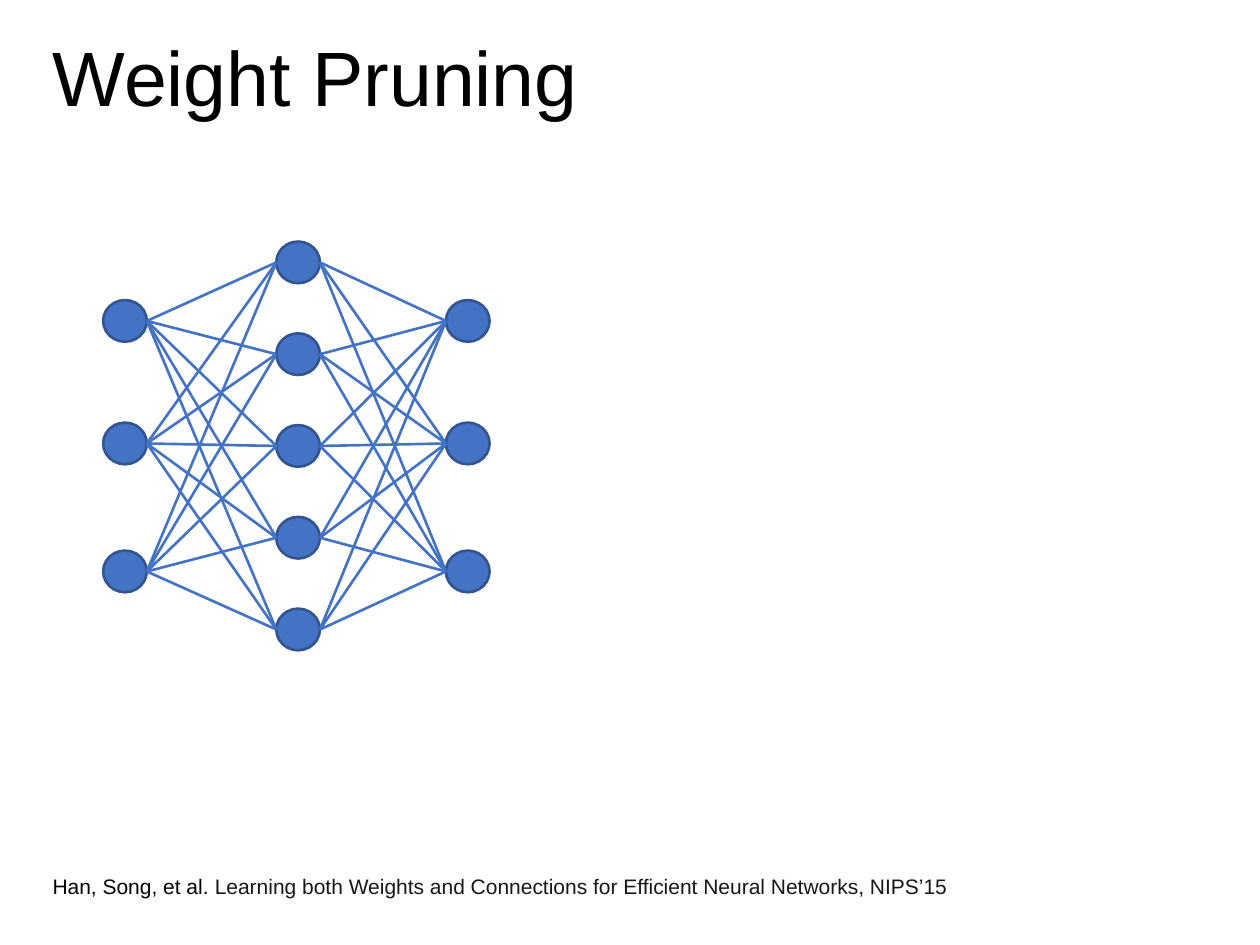
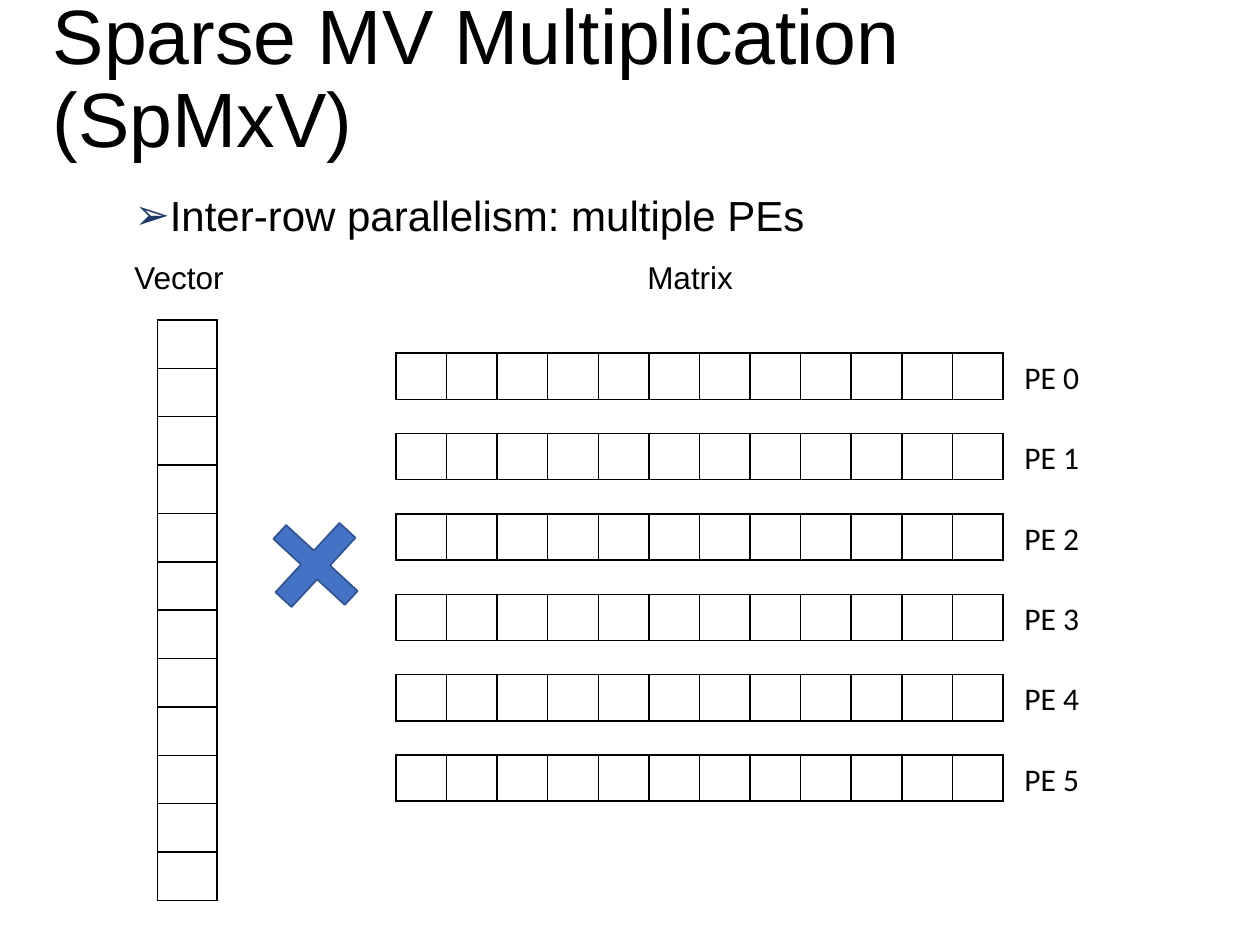
from itertools import product

from lxml.etree import SubElement
from pptx import Presentation
from pptx.dml.color import RGBColor
from pptx.enum.shapes import MSO_CONNECTOR, MSO_SHAPE
from pptx.enum.text import MSO_ANCHOR, MSO_AUTO_SIZE, PP_ALIGN
from pptx.oxml import parse_xml
from pptx.oxml.ns import nsdecls, qn
from pptx.util import Cm, Pt

BLACK = RGBColor(0x00, 0x00, 0x00)
SOFT_BLACK = RGBColor(0x18, 0x17, 0x17)
BLUE = RGBColor(0x44, 0x72, 0xC4)
DARK_BLUE = RGBColor(0x32, 0x54, 0x91)
NAVY = RGBColor(0x20, 0x38, 0x64)
HEADING_FONT = "Arial"
LABEL_FONT = "Calibri"

NODE_WIDTH, NODE_HEIGHT = 0.88, 0.84
OUTER_TOPS = [6.05, 8.52, 11.1]
HIDDEN_TOPS = [4.87 + 1.85 * index for index in range(5)]
LAYERS = [(2.08, OUTER_TOPS), (5.57, HIDDEN_TOPS), (8.99, OUTER_TOPS)]

CELL_COUNT = 12
PE_COUNT = 6
PE_PITCH = 1.62


def format_run(run, size, color=BLACK, font=HEADING_FONT):
    run.font.name = font
    run.font.size = Pt(size)
    run.font.color.rgb = color


def place(shape, left, top, width, height):
    shape.left, shape.top = Cm(left), Cm(top)
    shape.width, shape.height = Cm(width), Cm(height)


def fill_placeholder(placeholder, text, size, box):
    place(placeholder, *box)
    frame = placeholder.text_frame
    frame.text = text
    frame.auto_size = MSO_AUTO_SIZE.NONE
    paragraph = frame.paragraphs[0]
    paragraph.alignment = PP_ALIGN.LEFT
    paragraph.line_spacing = 0.9
    format_run(paragraph.runs[0], size)
    return paragraph


def add_titled_slide(presentation, layout_index, title):
    slide = presentation.slides.add_slide(presentation.slide_layouts[layout_index])
    fill_placeholder(slide.shapes.title, title, 44, (0.81, 0.25, 23.75, 2.77))
    slide.shapes.title.text_frame.vertical_anchor = MSO_ANCHOR.MIDDLE
    return slide


def add_bullet(paragraph):
    paragraph.space_before = Pt(10)
    properties = paragraph._p.get_or_add_pPr()
    properties.set("marL", str(Cm(0.64)))
    properties.set("indent", str(Cm(-0.64)))
    color = SubElement(properties, qn("a:buClr"))
    SubElement(color, qn("a:srgbClr"), val=str(NAVY))
    SubElement(properties, qn("a:buFont"), typeface=HEADING_FONT)
    SubElement(properties, qn("a:buChar"), char="➢")


def add_label(slide, text, left, top, width, size=18, font=HEADING_FONT):
    label = slide.shapes.add_textbox(Cm(left), Cm(top), Cm(width), Cm(1.02))
    frame = label.text_frame
    frame.word_wrap = True
    frame.text = text
    format_run(frame.paragraphs[0].runs[0], size, font=font)
    return frame.paragraphs[0]


def add_blue_shape(slide, kind, left, top, width, height, line_width):
    shape = slide.shapes.add_shape(kind, Cm(left), Cm(top), Cm(width), Cm(height))
    shape.shadow.inherit = False
    shape.fill.solid()
    shape.fill.fore_color.rgb = BLUE
    shape.line.color.rgb = DARK_BLUE
    shape.line.width = Pt(line_width)
    return shape


def add_link(slide, source, target):
    link = slide.shapes.add_connector(
        MSO_CONNECTOR.STRAIGHT,
        source.left + source.width, source.top + source.height // 2,
        target.left, target.top + target.height // 2,
    )
    link.line.color.rgb = BLUE
    link.line.width = Pt(1.5)
    SubElement(link._element.spPr, qn("a:effectLst"))


def add_network(slide):
    layers = [
        [add_blue_shape(slide, MSO_SHAPE.OVAL, left, top, NODE_WIDTH, NODE_HEIGHT, 1.5)
         for top in tops]
        for left, tops in LAYERS
    ]
    for sources, targets in zip(layers, layers[1:]):
        for source, target in product(sources, targets):
            add_link(slide, source, target)


def outline_cell(cell):
    cell.margin_left = cell.margin_right = cell.margin_top = cell.margin_bottom = 0
    cell.fill.background()
    properties = cell._tc.get_or_add_tcPr()
    for index, side in enumerate("LRTB"):
        properties.insert(index, parse_xml(
            f'<a:ln{side} {nsdecls("a")} w="{Pt(1)}"><a:solidFill>'
            f'<a:srgbClr val="{BLACK}"/></a:solidFill></a:ln{side}>'
        ))


def add_grid(slide, row_count, column_count, left, top, width, height):
    table = slide.shapes.add_table(
        row_count, column_count, Cm(left), Cm(top), Cm(width), Cm(height)
    ).table
    table.first_row = False
    table.horz_banding = False
    for cell in table.iter_cells():
        outline_cell(cell)


def build_pruning_slide(presentation):
    slide = add_titled_slide(presentation, 5, "Weight Pruning")
    citation = add_label(slide, "Han, Song, et al.", 0.81, 17.48, 23.37, size=12)
    paper = citation.add_run()
    paper.text = " Learning both Weights and Connections for Efficient Neural Networks, NIPS’15"
    format_run(paper, 12, SOFT_BLACK)
    add_network(slide)


def build_multiplication_slide(presentation):
    slide = add_titled_slide(presentation, 1, "Sparse MV Multiplication (SpMxV)")
    add_bullet(fill_placeholder(
        slide.placeholders[1], "Inter-row parallelism: multiple PEs", 24,
        (2.46, 3.81, 16.38, 1.42),
    ))
    add_label(slide, "Vector", 2.46, 5.08, 2.54)
    add_label(slide, "Matrix", 12.8, 5.08, 2.59)
    add_grid(slide, CELL_COUNT, 1, 3.18, 6.45, 1.19, 11.7)
    times = add_blue_shape(slide, MSO_SHAPE.CROSS, 5.38, 10.44, 1.96, 1.9, 1)
    times.adjustments[0] = 0.4
    times.rotation = 42.7
    for index in range(PE_COUNT):
        offset = index * PE_PITCH
        add_grid(slide, 1, CELL_COUNT, 7.98, 7.12 + offset, 12.24, 0.93)
        add_label(slide, f"PE {index}", 20.4, 7.09 + offset, 1.83, font=LABEL_FONT)


def main():
    presentation = Presentation()
    presentation.slide_width = Cm(25.4)
    presentation.slide_height = Cm(19.05)
    build_pruning_slide(presentation)
    build_multiplication_slide(presentation)
    presentation.save("out.pptx")


if __name__ == "__main__":
    main()
